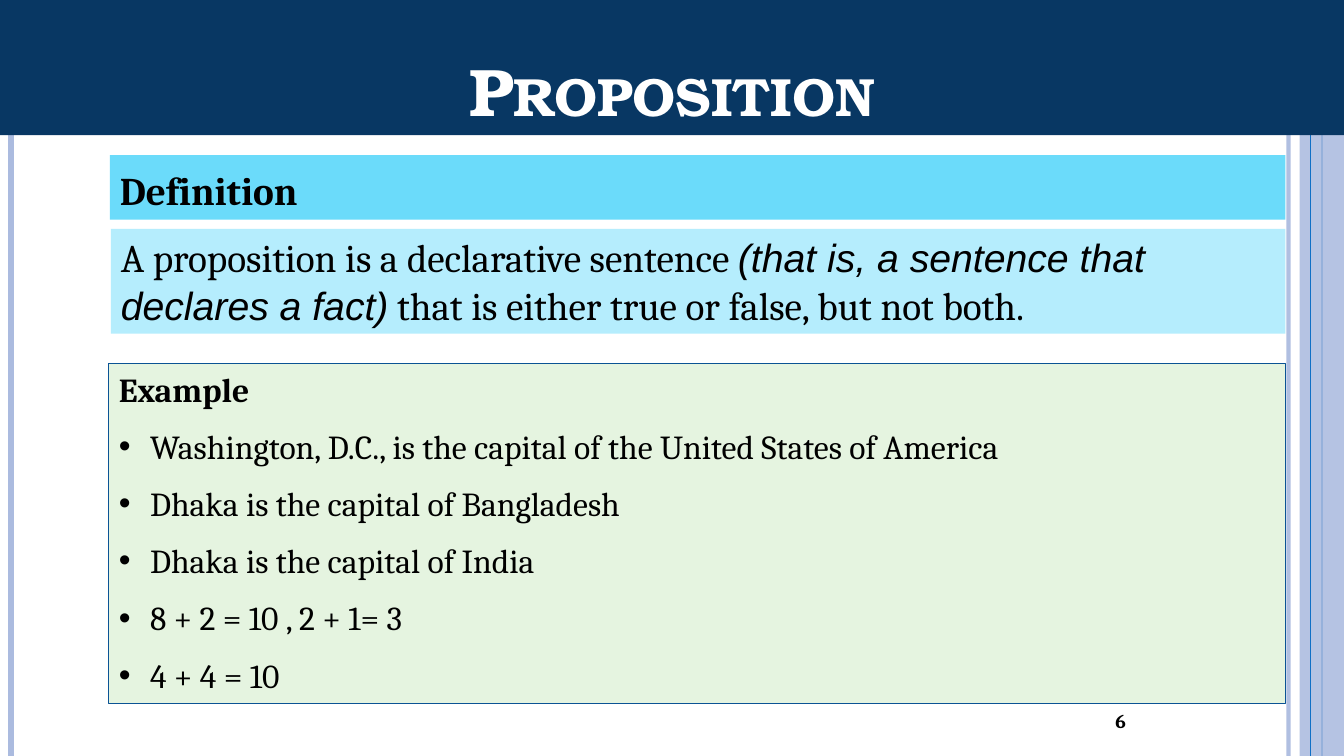
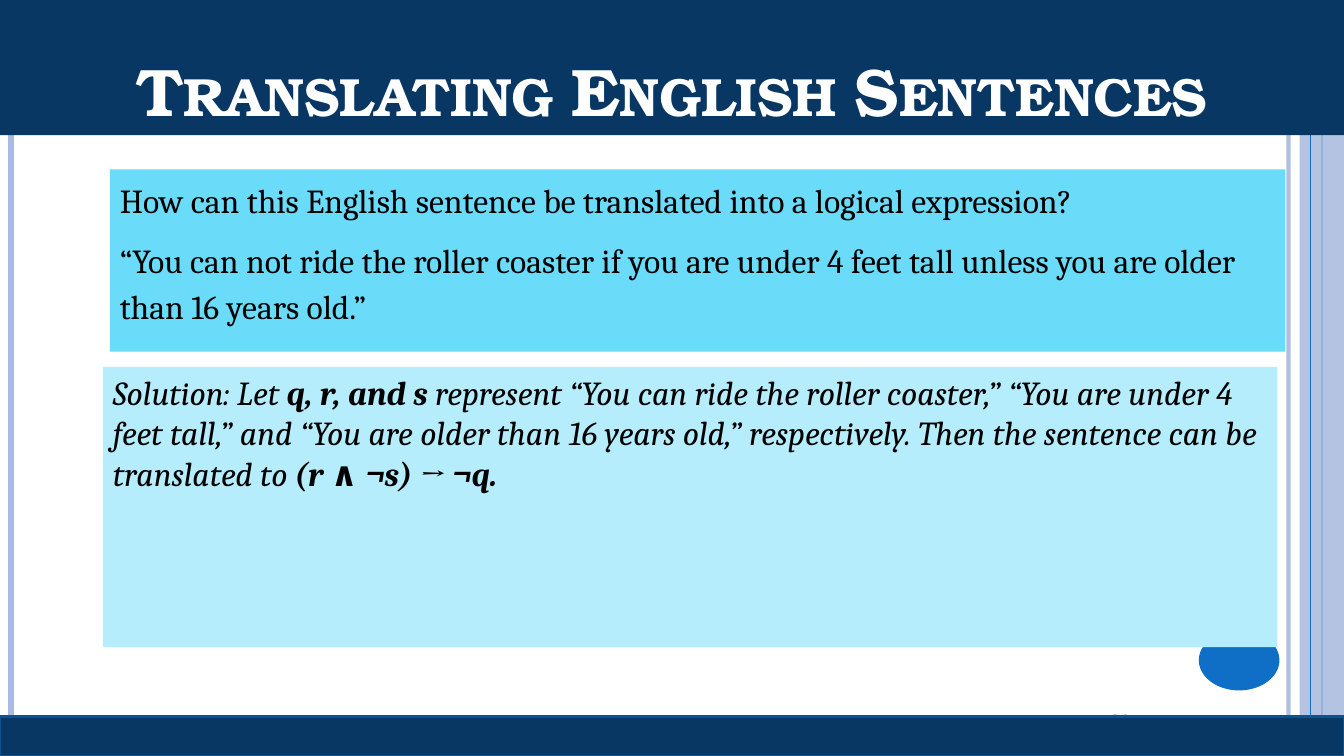
from lxml import etree
from pptx import Presentation
from pptx import util as u
from pptx.dml.color import RGBColor
from pptx.enum import shapes, text
from pptx.oxml.ns import qn

PX = 9144  # 100 px to the inch
W, H = 1333, 750
C = {
    "navy": "083763", "edge": "0B5292", "rule": "0B5394", "blue": "0F6FC6",
    "lilac": "ABBBDF", "cyan": "6BDBFA", "pale": "B5EDFD", "green": "E5F4E0",
    "black": "000000", "white": "FFFFFF",
}
BODY, HEADING = "Cambria", "TeX Gyre Bonum"
RECT = shapes.MSO_SHAPE.RECTANGLE
OVAL = shapes.MSO_SHAPE.OVAL
TOP = text.MSO_ANCHOR.TOP


def box(s, x, y, w, h, fill, line=None, weight=0.75, kind=RECT):
    sp = s.shapes.add_shape(kind, x * PX, y * PX, w * PX, h * PX)
    sp.shadow.inherit = False
    sp.fill.solid()
    sp.fill.fore_color.rgb = RGBColor.from_string(C[fill])
    if line:
        sp.line.color.rgb = RGBColor.from_string(C[line])
        sp.line.width = u.Pt(weight)
    else:
        sp.line.fill.background()
    return sp


def write(sp, paras, size, anchor=TOP, align=text.PP_ALIGN.LEFT, font=BODY, color="black"):
    """Fill a shape with (paragraph format, runs); a run is (text, font format)."""
    tf = sp.text_frame
    tf.word_wrap = True
    tf.vertical_anchor = anchor
    for i, (fmt, runs) in enumerate(paras):
        p = tf.paragraphs[0] if i == 0 else tf.add_paragraph()
        p.alignment = align
        for name, value in fmt.items():
            setattr(p, name, value)
        for words, style in runs:
            r = p.add_run()
            r.text = words
            r.font.color.rgb = RGBColor.from_string(C[color])
            for name, value in {"name": font, "size": u.Pt(size), **style}.items():
                setattr(r.font, name, value)
    return tf


BOLD, ITALIC = {"bold": True}, {"italic": True}
BOLD_ITALIC = {**BOLD, **ITALIC}
LOOSE = {"line_spacing": 1.14, "space_before": u.Pt(10)}
LEAD = {"space_before": u.Pt(12), "space_after": u.Pt(6)}
ITEM = {"space_before": u.Pt(6), "space_after": u.Pt(6)}

# x, colour, weight, opacity in percent
side_lines = [
    (1278, "lilac", 3, 93),
    (11, "lilac", 4.5, 100),
    (1311, "blue", 1.5, 100),
    (1300, "blue", 0.75, 100),
]

prs = Presentation()
prs.slide_width, prs.slide_height = W * PX, H * PX
slides = []

for title, number in [("Proposition", "6"), ("Translating English Sentences", "29")]:
    s = prs.slides.add_slide(prs.slide_layouts[6])
    slides.append(s)
    for x, color, weight, opacity in side_lines:
        if x == 1300:  # the band lies under the last line only
            band = box(s, 1289, 0, 44, H, "lilac")
            clr = band.fill._xPr.find(".//" + qn("a:srgbClr"))
            etree.SubElement(clr, qn("a:alpha"), val="87000")
        ln = s.shapes.add_connector(shapes.MSO_CONNECTOR.STRAIGHT, x * PX, 0, x * PX, H * PX)
        ln.line.color.rgb = RGBColor.from_string(C[color])
        ln.line.width = u.Pt(weight)
        etree.SubElement(ln._element.spPr, qn("a:effectLst"))
        if opacity < 100:
            clr = ln._element.spPr.find(".//" + qn("a:srgbClr"))
            etree.SubElement(clr, qn("a:alpha"), val=str(opacity * 1000))
    if number == "29":
        box(s, 1189, 625, 80, 60, "blue", kind=OVAL)
    page = s.shapes.add_textbox(956 * PX, 695 * PX, 311 * PX, 40 * PX)
    write(page, [({}, [(number, BOLD)])], 14, text.MSO_ANCHOR.MIDDLE, text.PP_ALIGN.CENTER)
    head = box(s, 0, 0, W, 134, "navy")
    tf = write(head, [({}, [(title, BOLD)])], 48, text.MSO_ANCHOR.BOTTOM,
               text.PP_ALIGN.CENTER, HEADING, "white")
    tf.paragraphs[0].runs[0].font._element.set("cap", "small")

# Proposition
s = slides[0]
write(box(s, 109, 154, 1166, 64, "cyan"), [(LOOSE, [("Definition", BOLD)])], 28)
write(box(s, 110, 227, 1165, 104, "pale"), [(LEAD, [
    ("A proposition is a declarative sentence ", {}),
    ("(that is, a sentence that declares a fact)", {"name": "Arial", **ITALIC}),
    (" that is either true or false, but not both.", {}),
])], 28)

examples = [
    "Washington, D.C., is the capital of the United States of America",
    "Dhaka is the capital of Bangladesh",
    "Dhaka is the capital of India",
    "8 + 2 = 10 , 2 + 1= 3",
    "4 + 4 = 10",
]
example_box = box(s, 108, 361, 1167, 337, "green", "rule")
tf = write(example_box, [(LEAD, [("Example", BOLD)])]
           + [(ITEM, [(words, {})]) for words in examples], 24)
tf.auto_size = text.MSO_AUTO_SIZE.SHAPE_TO_FIT_TEXT
for p in tf.paragraphs[1:]:
    pPr = p._p.get_or_add_pPr()
    pPr.set("marL", str(31 * PX))
    pPr.set("indent", str(-31 * PX))
    etree.SubElement(pPr, qn("a:buFont"), typeface="Arial")
    etree.SubElement(pPr, qn("a:buChar"), char="•")

# Translating English Sentences
s = slides[1]
box(s, 0, 711, W, 39, "navy", "edge", 2)
write(box(s, 109, 168, 1166, 181, "cyan"), [
    (LOOSE, [("How can this English sentence be translated into a logical expression?", {})]),
    (LOOSE, [("“You can not ride the roller coaster if you are under 4 feet tall "
              "unless you are older than 16 years old.”", {})]),
], 24)
write(box(s, 102, 364, 1165, 278, "pale"), [({"space_after": u.Pt(6)}, [
    ("Solution: Let ", ITALIC),
    ("q, r, and s ", BOLD_ITALIC),
    ("represent “You can ride the roller coaster,” “You are under 4 feet tall,” and "
     "“You are older than 16 years old,” respectively. "
     "Then the sentence can be translated to ", ITALIC),
    ("(r ", BOLD_ITALIC),
    ("∧ ", BOLD),
    ("¬s) → ¬q.", BOLD_ITALIC),
])], 24)

prs.save("out.pptx")
